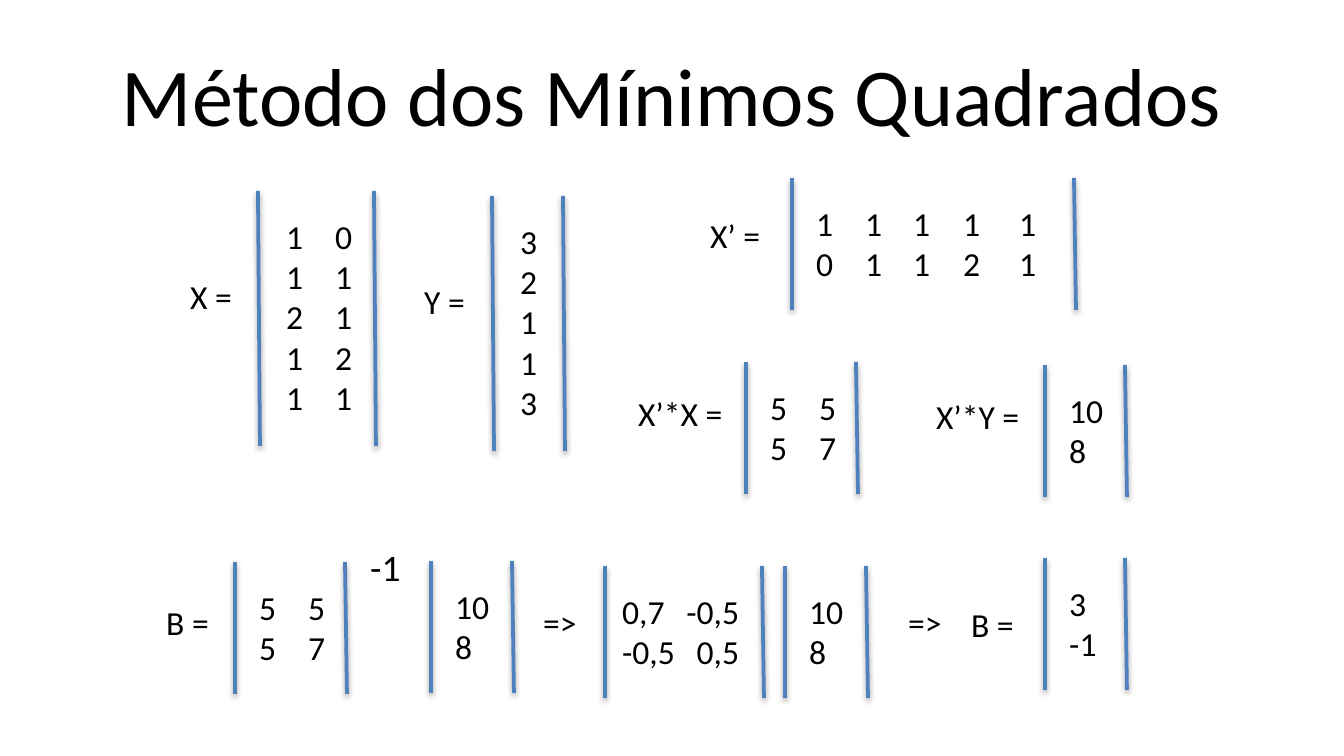
from lxml import etree
from pptx import Presentation
from pptx.dml.color import RGBColor
from pptx.enum.shapes import MSO_CONNECTOR
from pptx.enum.text import MSO_ANCHOR, MSO_AUTO_SIZE, PP_ALIGN
from pptx.oxml.ns import qn
from pptx.util import Emu, Pt

STRAIGHT = MSO_CONNECTOR.STRAIGHT
GROW = MSO_AUTO_SIZE.SHAPE_TO_FIT_TEXT
MIDDLE, CENTER = MSO_ANCHOR.MIDDLE, PP_ALIGN.CENTER

PX = 914400 / 134.4
COLORS = {"text": "000000", "bar": "4F81BD", "shadow": "000000"}


def px(*lengths):
    return [Emu(round(length * PX)) for length in lengths]


def add_text(left, top, width, height, lines, size=18, tabs=()):
    box = page.shapes.add_textbox(*px(left, top, width, height))
    frame = box.text_frame
    frame.word_wrap = True
    frame.auto_size = GROW
    frame.text = "\n".join(lines)
    for para in frame.paragraphs:
        formats = {"name": "Calibri", "size": Pt(size)}
        for name, value in formats.items():
            setattr(para.runs[0].font, name, value)
        para.runs[0].font.color.rgb = RGBColor.from_string(COLORS["text"])
        if tabs:
            tab_list = etree.SubElement(para._p.get_or_add_pPr(), qn("a:tabLst"))
            for stop, align in tabs:
                etree.SubElement(tab_list, qn("a:tab"),
                                 pos=str(px(stop)[0]), algn=align)


deck = Presentation()
deck.slide_width, deck.slide_height = px(1344, 756)
page = deck.slides.add_slide(deck.slide_layouts[5])

# Title
title = page.shapes.title
title.left, title.top, title.width, title.height = px(67, 31, 1210, 126)
title.text_frame.text = "Método dos Mínimos Quadrados"
title.text_frame.vertical_anchor = MIDDLE
heading = title.text_frame.paragraphs[0]
heading.alignment = CENTER
heading.font.name, heading.font.size = "Calibri", Pt(44)
heading.font.color.rgb = RGBColor.from_string(COLORS["text"])

# Labels and operators: left, top, width, text
labels = [
    (177, 269, 93, "X ="),
    (411, 274, 93, "Y ="),
    (697, 208, 93, "X’ ="),
    (625, 386, 117, "X’*X ="),
    (923, 389, 117, "X’*Y ="),
    (153, 595, 93, "B ="),
    (530, 595, 75, "=>"),
    (895, 595, 75, "=>"),
    (958, 597, 93, "B ="),
]
for left, top, width, text in labels:
    add_text(left, top, width, 53, [text])
add_text(357, 538, 58, 59, ["-1"], size=20)

# Matrices: left bar, right bar, top, text offset, text width, tab stops, rows
pair = [(49, "l")]
five = [(stop, "l") for stop in (49, 97, 147, 203)]
matrices = [
    (258, 374, 191, 15, 118, pair, ["1\t0", "1\t1", "2\t1", "1\t2", "1\t1"]),
    (492, 563, 196, 15, 118, (), ["3", "2", "1", "1", "3"]),
    (792, 1074, 178, 11, 253, five, ["1\t1\t1\t1\t1", "0\t1\t1\t2\t1"]),
    (746, 856, 362, 11, 99, pair, ["5\t5", "5\t7"]),
    (1045, 1125, 365, 11, 99, (), ["10", "8"]),
    (235, 345, 562, 11, 99, pair, ["5\t5", "5\t7"]),
    (431, 512, 561, 11, 99, (), ["10", "8"]),
    (605, 762, 566, 4, 149, [(117, "r")], ["0,7\t-0,5", "-0,5\t0,5"]),
    (785, 866, 566, 11, 99, (), ["10", "8"]),
    (1045, 1125, 558, 11, 99, (), ["3", "-1"]),
]
for left, right, top, offset, width, tabs, rows in matrices:
    tall = len(rows) > 2
    bar_height, text_height = (255, 218) if tall else (132, 95)
    add_text(left + offset, top + 18, width, text_height, rows, tabs=tabs)

    # Bars, with a slight slant and a soft shadow
    for x, slant in ((left, 2 if tall else 0), (right, 2)):
        bar = page.shapes.add_connector(
            STRAIGHT, *px(x, top, x + slant, top + bar_height))
        bar.line.width = Pt(2)
        bar.line.color.rgb = RGBColor.from_string(COLORS["bar"])
        effects = etree.SubElement(bar._element.spPr, qn("a:effectLst"))
        shadow = etree.SubElement(effects, qn("a:outerShdw"), blurRad="40000",
                                  dist="20000", dir="5400000", rotWithShape="0")
        tint = etree.SubElement(shadow, qn("a:srgbClr"), val=COLORS["shadow"])
        etree.SubElement(tint, qn("a:alpha"), val="38000")

deck.save("out.pptx")
